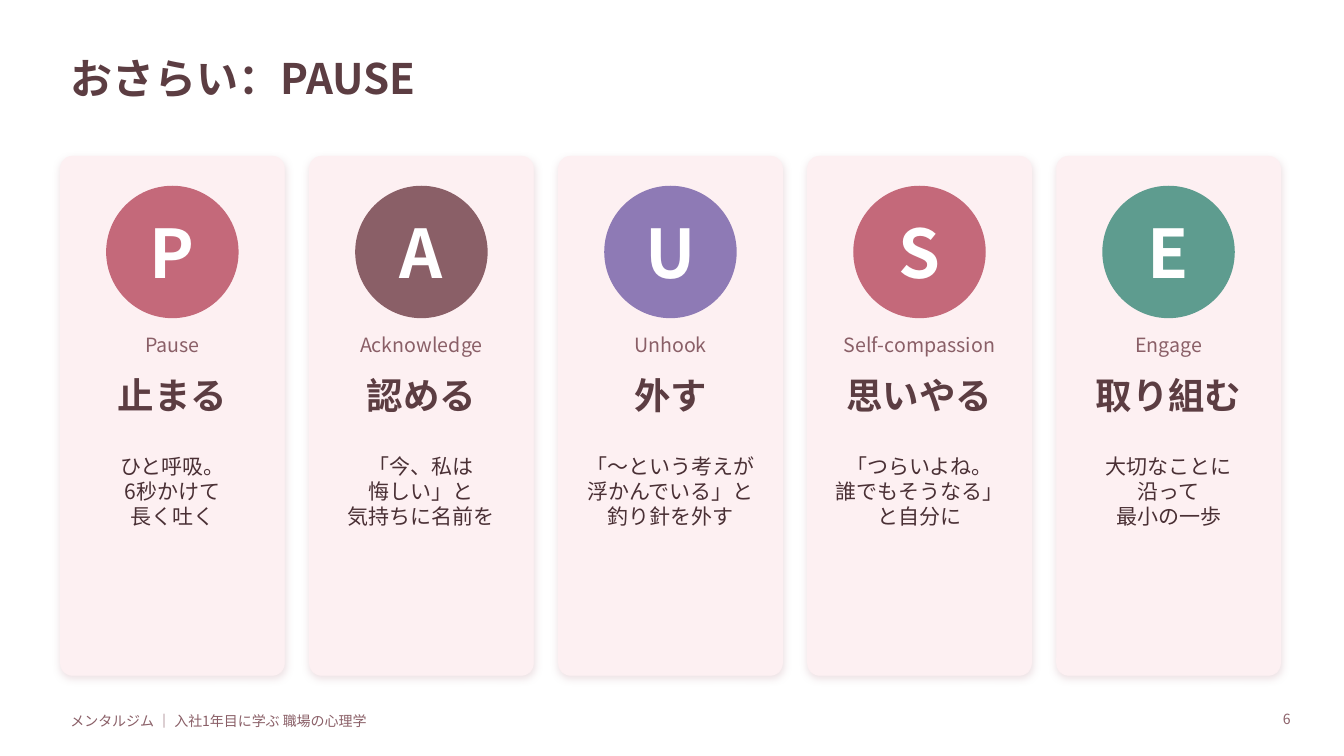
from lxml import etree
from pptx import Presentation
from pptx.dml.color import RGBColor
from pptx.enum.shapes import MSO_SHAPE
from pptx.enum.text import MSO_ANCHOR, MSO_AUTO_SIZE, PP_ALIGN
from pptx.oxml import parse_xml
from pptx.oxml.ns import nsdecls, qn
from pptx.util import Inches, Pt

FONT = "Noto Sans CJK JP"
DARK, MUTED, BODY = "5C3D42", "8A5F67", "4A3035"
PINK, PURPLE, GREEN = "C4697A", "8E7AB5", "5E9C8F"
CARD_FILL, CARD_SHADOW, WHITE = "FDF0F2", "C9A5AD", "FFFFFF"

CARD_LEFT, CARD_TOP, CARD_WIDTH, CARD_HEIGHT, CARD_GAP = 0.6, 1.55, 2.22, 5.15, 0.25
CIRCLE = 1.3

STEPS = [
    ("P", PINK, "Pause", "止まる", ["ひと呼吸。", "6秒かけて", "長く吐く"]),
    ("A", MUTED, "Acknowledge", "認める", ["「今、私は", "悔しい」と", "気持ちに名前を"]),
    ("U", PURPLE, "Unhook", "外す", ["「〜という考えが", "浮かんでいる」と", "釣り針を外す"]),
    ("S", PINK, "Self-compassion", "思いやる", ["「つらいよね。", "誰でもそうなる」", "と自分に"]),
    ("E", GREEN, "Engage", "取り組む", ["大切なことに", "沿って", "最小の一歩"]),
]


def rgb(value):
    return RGBColor.from_string(value)


def write(frame, lines, size, color, bold=False, align=PP_ALIGN.CENTER,
          anchor=MSO_ANCHOR.TOP, inset=0):
    frame.word_wrap = True
    frame.auto_size = MSO_AUTO_SIZE.NONE
    frame.vertical_anchor = anchor
    frame.margin_left = frame.margin_right = Inches(inset)
    frame.margin_top = frame.margin_bottom = Inches(inset / 2)
    for index, line in enumerate(lines):
        paragraph = frame.add_paragraph() if index else frame.paragraphs[0]
        paragraph.alignment = align
        run = paragraph.add_run()
        run.text = line
        run.font.size = Pt(size)
        run.font.bold = bold
        run.font.color.rgb = rgb(color)
        run.font.name = FONT
        east_asian = etree.SubElement(run.font._element, qn("a:ea"))
        east_asian.set("typeface", FONT)


def add_text(slide, box, lines, size, color, **style):
    shape = slide.shapes.add_textbox(*map(Inches, box))
    write(shape.text_frame, lines, size, color, **style)


def add_filled(slide, kind, box, color, line_width):
    shape = slide.shapes.add_shape(kind, *map(Inches, box))
    shape.shadow.inherit = False
    shape.fill.solid()
    shape.fill.fore_color.rgb = rgb(color)
    shape.line.color.rgb = rgb(color)
    shape.line.width = Pt(line_width)
    return shape


def add_card(slide, left):
    box = (left, CARD_TOP, CARD_WIDTH, CARD_HEIGHT)
    card = add_filled(slide, MSO_SHAPE.ROUNDED_RECTANGLE, box, CARD_FILL, 0.5)
    card.adjustments[0] = 0.054
    effects = card._element.spPr.find(qn("a:effectLst"))
    effects.append(parse_xml(
        f'<a:outerShdw {nsdecls("a")} blurRad="{Pt(6)}" dist="{Pt(2)}" '
        f'dir="5400000" algn="bl" rotWithShape="0"><a:srgbClr val="{CARD_SHADOW}">'
        '<a:alpha val="35000"/></a:srgbClr></a:outerShdw>'))


def add_step(slide, left, letter, color, english, japanese, advice):
    add_card(slide, left)
    circle_box = (left + (CARD_WIDTH - CIRCLE) / 2, 1.85, CIRCLE, CIRCLE)
    circle = add_filled(slide, MSO_SHAPE.OVAL, circle_box, color, 1)
    write(circle.text_frame, [letter], 48, WHITE, bold=True, anchor=MSO_ANCHOR.MIDDLE)
    label_left, label_width = left + 0.1, CARD_WIDTH - 0.2
    add_text(slide, (label_left, 3.3, label_width, 0.4), [english], 14, MUTED)
    add_text(slide, (label_left, 3.7, label_width, 0.6), [japanese], 26, DARK, bold=True)
    add_text(slide, (left + 0.2, 4.5, CARD_WIDTH - 0.4, 2), advice, 15, BODY)


def add_title(slide, text):
    title = slide.shapes.title
    title.left, title.top, title.width, title.height = map(Inches, (0.6, 0.35, 12.1, 0.85))
    write(title.text_frame, [text], 30, DARK, bold=True, align=PP_ALIGN.LEFT,
          anchor=MSO_ANCHOR.MIDDLE, inset=0.1)


def main():
    prs = Presentation()
    prs.slide_width, prs.slide_height = Inches(13.33), Inches(7.5)
    slide = prs.slides.add_slide(prs.slide_layouts[5])
    add_title(slide, "おさらい：PAUSE")
    for index, step in enumerate(STEPS):
        add_step(slide, CARD_LEFT + index * (CARD_WIDTH + CARD_GAP), *step)
    add_text(slide, (0.6, 7, 8, 0.3), ["メンタルジム ｜ 入社1年目に学ぶ 職場の心理学"], 10, MUTED,
             align=PP_ALIGN.LEFT, anchor=MSO_ANCHOR.MIDDLE, inset=0.1)
    add_text(slide, (12.3, 7, 0.6, 0.3), ["6"], 10, MUTED, align=PP_ALIGN.RIGHT, inset=0.1)
    prs.save("out.pptx")


main()
